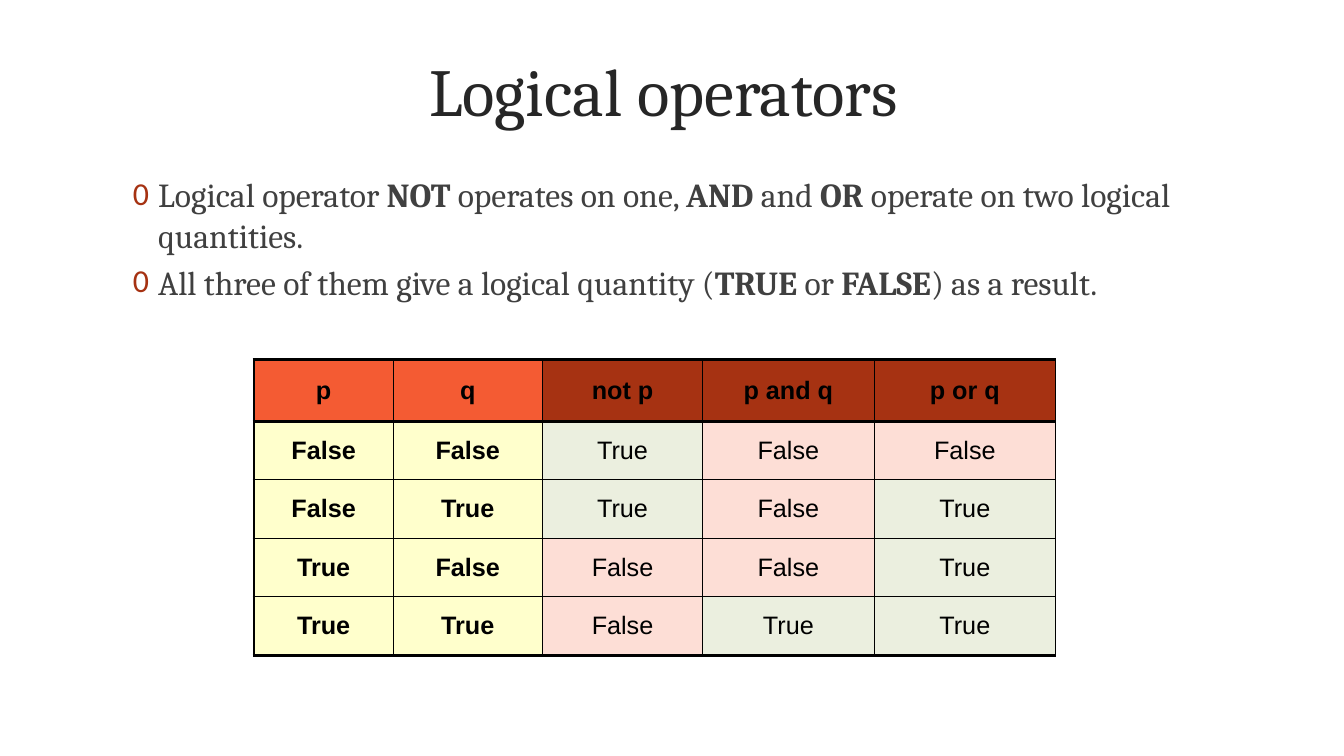
from lxml import etree
from pptx import Presentation
from pptx.dml.color import RGBColor
from pptx.enum.text import MSO_ANCHOR, PP_ALIGN
from pptx.oxml.ns import qn
from pptx.util import Inches, Pt

CENTER, LEFT = PP_ALIGN.CENTER, PP_ALIGN.LEFT
MIDDLE, TOP = MSO_ANCHOR.MIDDLE, MSO_ANCHOR.TOP

BLACK = RGBColor(0x00, 0x00, 0x00)
TITLE_GRAY = RGBColor(0x26, 0x26, 0x26)
BODY_GRAY = RGBColor(0x40, 0x40, 0x40)
ORANGE = RGBColor(0xF4, 0x5B, 0x33)
RUST = RGBColor(0xA6, 0x32, 0x12)
YELLOW = RGBColor(0xFF, 0xFF, 0xCC)
GREEN = RGBColor(0xEB, 0xEF, 0xDF)
PINK = RGBColor(0xFD, 0xDE, 0xD6)

STATEMENTS = [
    "Logical operator **NOT** operates on one, **AND** and **OR** operate on two logical quantities.",
    "All three of them give a logical quantity (**TRUE** or **FALSE**) as a result.",
]
HEADERS = ["p", "q", "not p", "p and q", "p or q"]
OPERANDS = [(p, q) for p in (False, True) for q in (False, True)]
TRUTH_ROWS = [[p, q, not p, p and q, p or q] for p, q in OPERANDS]
COLUMN_WIDTHS = [1.38, 1.48, 1.59, 1.7, 1.8]
HEADER_HEIGHT, ROW_HEIGHT = 0.61, 0.58
THIN, THICK = 1, 2.25


def write(paragraph, text, font="Cambria", size=24, color=BODY_GRAY,
          bold=False, align=LEFT, space_before=0):
    """Fill a paragraph; parts between ** marks are bold."""
    paragraph.alignment = align
    paragraph.space_before = Pt(space_before)
    for index, part in enumerate(text.split("**")):
        run = paragraph.add_run()
        run.text = part
        run.font.name = font
        run.font.size = Pt(size)
        run.font.bold = bold or index % 2 == 1
        run.font.color.rgb = color


def add_bullet(paragraph, character, color):
    properties = paragraph._p.get_or_add_pPr()
    properties.set("marL", str(Inches(0.25)))
    properties.set("indent", str(-Inches(0.25)))
    bullet_color = etree.SubElement(properties, qn("a:buClr"))
    etree.SubElement(bullet_color, qn("a:srgbClr"), val=str(color))
    etree.SubElement(properties, qn("a:buSzPct"), val="95000")
    etree.SubElement(properties, qn("a:buFont"), typeface="Calibri")
    etree.SubElement(properties, qn("a:buChar"), char=character)


def add_text_frame(slide, box, anchor):
    frame = slide.shapes.add_textbox(*map(Inches, box)).text_frame
    frame.word_wrap = True
    frame.vertical_anchor = anchor
    return frame


def add_title(slide, box):
    frame = add_text_frame(slide, box, MIDDLE)
    write(frame.paragraphs[0], "Logical operators", size=48, color=TITLE_GRAY, align=CENTER)


def add_statements(slide, box):
    frame = add_text_frame(slide, box, TOP)
    for index, statement in enumerate(STATEMENTS):
        paragraph = frame.add_paragraph() if index else frame.paragraphs[0]
        write(paragraph, statement, space_before=4.8)
        add_bullet(paragraph, "0", RUST)


def set_borders(cell, **widths):
    """Draw black cell sides, given as L, R, T and B in points."""
    properties = cell._tc.get_or_add_tcPr()
    for side, width in widths.items():
        line = etree.SubElement(properties, qn(f"a:ln{side}"), w=str(Pt(width)))
        fill = etree.SubElement(line, qn("a:solidFill"))
        etree.SubElement(fill, qn("a:srgbClr"), val=str(BLACK))


def format_cell(cell, text, fill, bold):
    cell.margin_left = cell.margin_right = Inches(0.13)
    cell.margin_top = cell.margin_bottom = Inches(0.05)
    cell.vertical_anchor = MIDDLE
    cell.fill.solid()
    cell.fill.fore_color.rgb = fill
    write(cell.text_frame.paragraphs[0], text, font="Arial", size=18,
          color=BLACK, bold=bold, align=CENTER, space_before=3.6)


def add_truth_table(slide, left, top):
    rows = [HEADERS] + TRUTH_ROWS
    last = len(rows) - 1
    height = HEADER_HEIGHT + last * ROW_HEIGHT
    table = slide.shapes.add_table(
        len(rows), len(HEADERS), Inches(left), Inches(top),
        Inches(sum(COLUMN_WIDTHS)), Inches(height)).table
    table.first_row = table.horz_banding = False
    for column, width in zip(table.columns, COLUMN_WIDTHS):
        column.width = Inches(width)
    for r, values in enumerate(rows):
        table.rows[r].height = Inches(ROW_HEIGHT if r else HEADER_HEIGHT)
        for c, value in enumerate(values):
            cell = table.cell(r, c)
            operand = c < 2
            if r == 0:
                fill = ORANGE if operand else RUST
            elif operand:
                fill = YELLOW
            else:
                fill = GREEN if value else PINK
            set_borders(cell,
                        L=THIN if c else THICK,
                        R=THIN,
                        T=THICK if r < 2 else THIN,
                        B=THICK if r in (0, last) else THIN)
            format_cell(cell, str(value), fill, bold=operand or r == 0)


def main():
    presentation = Presentation()
    presentation.slide_width = Inches(13.33)
    presentation.slide_height = Inches(7.5)
    slide = presentation.slides.add_slide(presentation.slide_layouts[6])
    add_title(slide, (1.36, 0.11, 10.44, 1.55))
    add_truth_table(slide, 2.52, 3.57)
    add_statements(slide, (1.22, 1.68, 10.89, 1.7))
    presentation.save("out.pptx")


if __name__ == "__main__":
    main()
